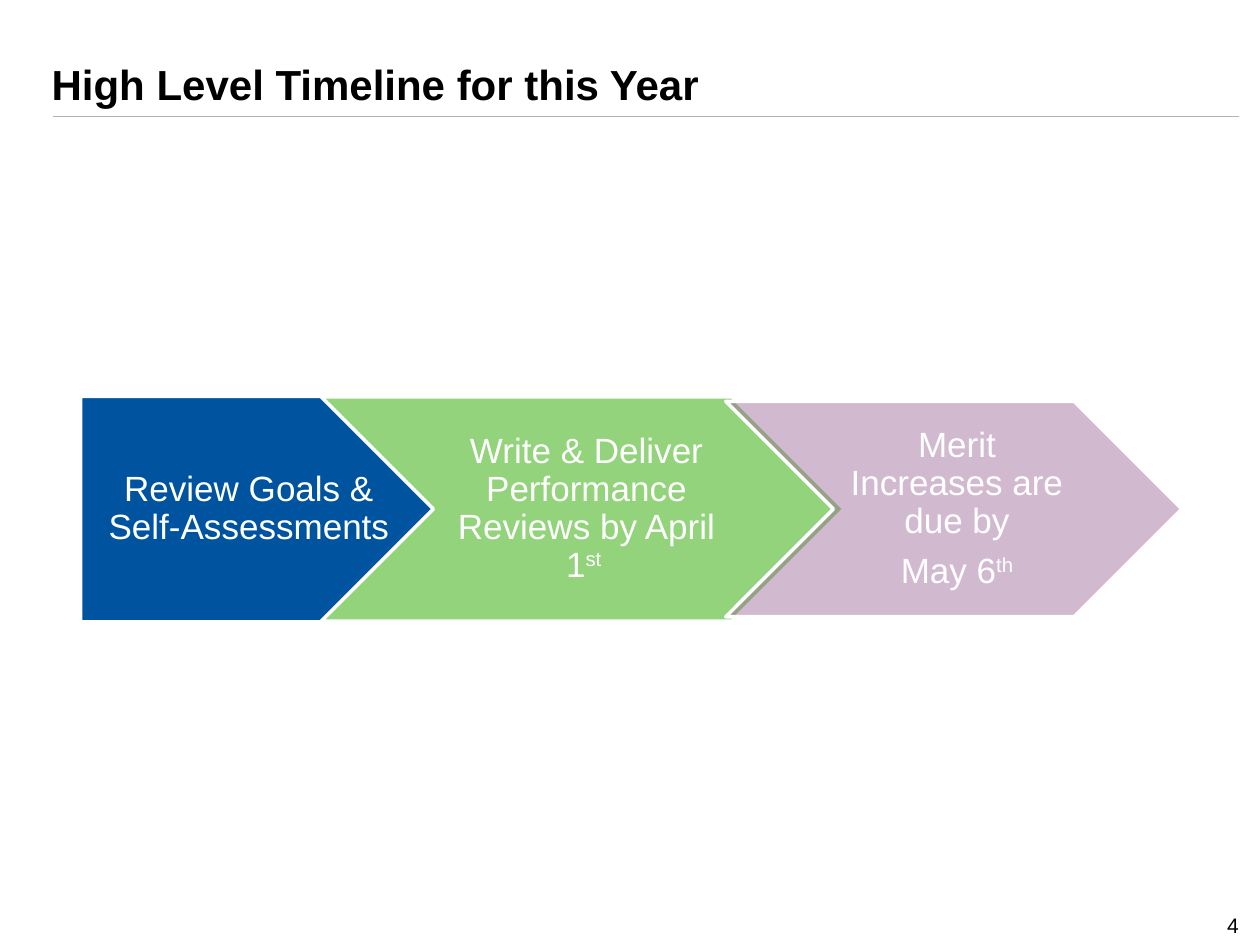
from pptx import Presentation
from pptx.dml.color import RGBColor
from pptx.enum.shapes import MSO_CONNECTOR, MSO_SHAPE
from pptx.enum.text import MSO_ANCHOR, MSO_AUTO_SIZE, PP_ALIGN
from pptx.oxml.ns import qn
from pptx.util import Inches, Pt
from lxml.etree import SubElement

COLORS = {"ink": "000000", "rule": "B2B4B3", "white": "FFFFFF",
          "review": "00549F", "deliver": "93D37B", "merit": "996797"}


def color(key):
    return RGBColor.from_string(COLORS[key])


def style_runs(paragraph, size, key, bold=False):
    for run in paragraph.runs:
        run.font.name = "Arial"
        run.font.size = Pt(size)
        run.font.bold = bold
        run.font.color.rgb = color(key)


deck = Presentation()
deck.slide_width, deck.slide_height = Inches(10), Inches(7.5)
slide = deck.slides.add_slide(deck.slide_layouts[5])

rule = slide.shapes.add_connector(
    MSO_CONNECTOR.STRAIGHT, Inches(0.42), Inches(0.92), Inches(9.83), Inches(0.92))
rule.line.color.rgb = color("rule")
rule.line.width = Pt(0.25)
SubElement(rule._element.spPr, qn("a:effectLst"))

title = slide.shapes.title
title.left, title.top = Inches(0.31), Inches(0.09)
title.width, title.height = Inches(9.5), Inches(0.83)
title.text_frame.text = "High Level Timeline for this Year"
title.text_frame.auto_size = MSO_AUTO_SIZE.NONE
title.text_frame.vertical_anchor = MSO_ANCHOR.BOTTOM
heading = title.text_frame.paragraphs[0]
heading.alignment = PP_ALIGN.LEFT
heading.line_spacing = 0.9
style_runs(heading, 24, "ink", True)

page = slide.shapes.add_textbox(Inches(7.85), Inches(7.16), Inches(2.08), Inches(0.33))
page.text_frame.word_wrap = True
page.text_frame.vertical_anchor = MSO_ANCHOR.BOTTOM
page.text_frame.text = "4"
page_number = page.text_frame.paragraphs[0]
page_number.alignment = PP_ALIGN.RIGHT
style_runs(page_number, 12, "ink")

MIDDLE = 4.04
STEPS = [
    ("review", MSO_SHAPE.PENTAGON, 0.64, 3.02, 1.79, 0.64, 2.58, 0.12, 100,
     [("Review Goals & Self-Assessments", "")]),
    ("deliver", MSO_SHAPE.CHEVRON, 2.55, 4.15, 1.78, 3.44, 2.37, 0.09, 100,
     [("Write & Deliver Performance Reviews by April 1", "st ")]),
    ("merit", MSO_SHAPE.CHEVRON, 5.76, 3.62, 1.71, 6.61, 1.91, 0.09, 45,
     [("Merit Increases are due by", ""), ("May 6", "th")]),
]

for key, preset, left, width, height, text_left, text_width, inset, opacity, lines in STEPS:
    top = Inches(MIDDLE - height / 2)
    arrow = slide.shapes.add_shape(preset, Inches(left), top, Inches(width), Inches(height))
    arrow.shadow.inherit = False
    arrow.fill.solid()
    arrow.fill.fore_color.rgb = color(key)
    if opacity < 100:
        tint = arrow._element.spPr.find(qn("a:solidFill")).find(qn("a:srgbClr"))
        SubElement(tint, qn("a:alpha")).set("val", str(opacity * 1000))
    arrow.line.color.rgb = color("white")
    arrow.line.width = Pt(2)

    label = slide.shapes.add_textbox(
        Inches(text_left), top, Inches(text_width), Inches(height)).text_frame
    label.word_wrap = True
    label.vertical_anchor = MSO_ANCHOR.MIDDLE
    label.margin_left, label.margin_right = Inches(inset), Inches(0.03)
    label.margin_top = label.margin_bottom = Inches(0.06)
    for index, (words, ordinal) in enumerate(lines):
        line = label.add_paragraph() if index else label.paragraphs[0]
        line.text = words
        if ordinal:
            suffix = line.add_run()
            suffix.text = ordinal
            suffix._r.get_or_add_rPr().set("baseline", "30000")
        line.alignment = PP_ALIGN.CENTER
        line.line_spacing = 0.9
        line.space_after = Pt(7)
        style_runs(line, 20, "white")

deck.save("out.pptx")
